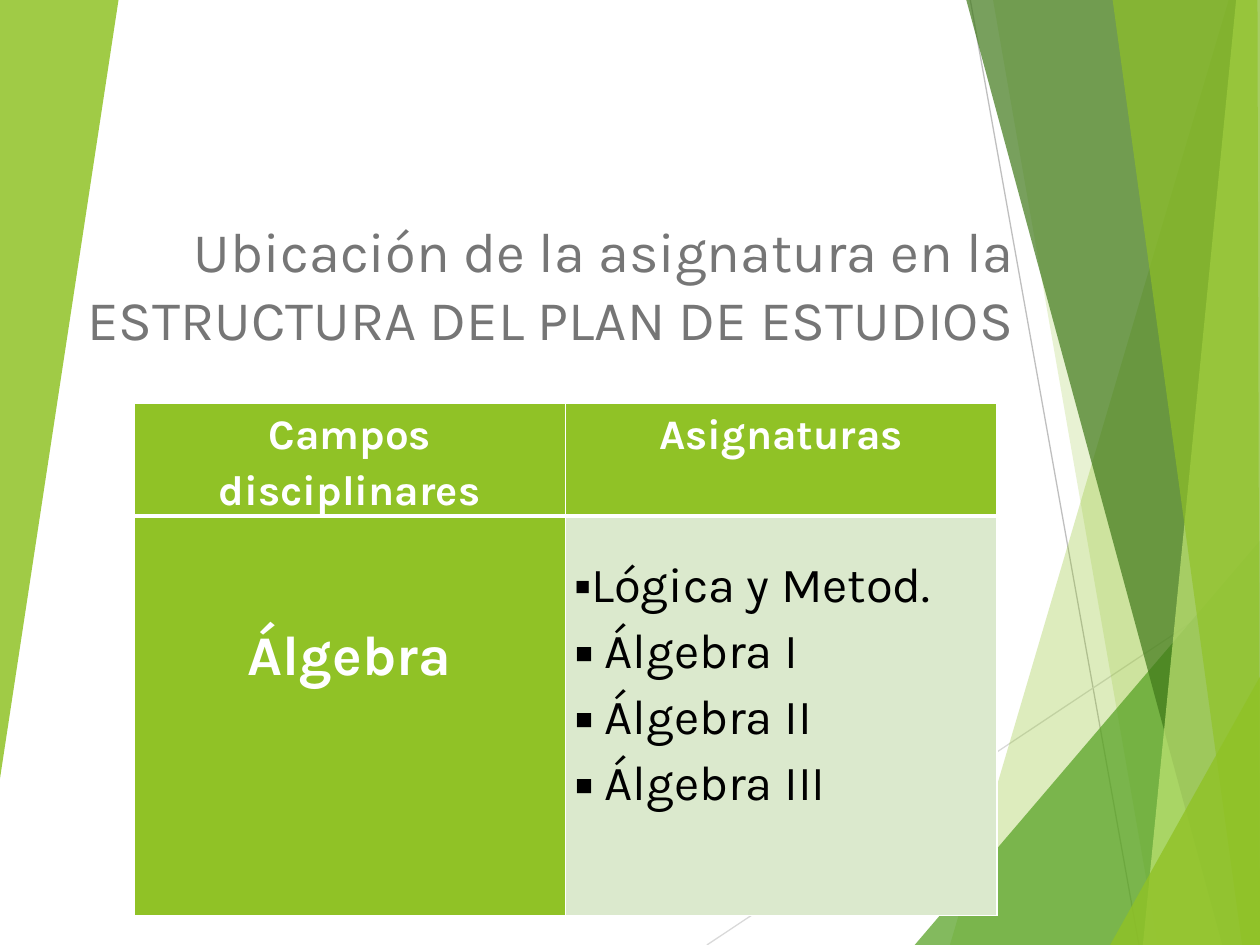
from lxml.etree import SubElement
from pptx import Presentation
from pptx.dml.color import RGBColor
from pptx.enum.shapes import MSO_CONNECTOR
from pptx.enum.text import MSO_ANCHOR, PP_ALIGN
from pptx.oxml.ns import qn
from pptx.util import Cm, Pt

FONT = "Karla"
WHITE = RGBColor(0xFF, 0xFF, 0xFF)
BLACK = RGBColor(0x00, 0x00, 0x00)
GRAY = RGBColor(0x76, 0x76, 0x76)
SILVER = RGBColor(0xBF, 0xBF, 0xBF)
LIGHT_GRAY = RGBColor(0xD9, 0xD9, 0xD9)
LIME = RGBColor(0x90, 0xC2, 0x26)
GREEN = RGBColor(0x54, 0xA0, 0x21)
DARK_GREEN = RGBColor(0x3F, 0x78, 0x19)
PALE_LIME = RGBColor(0xC0, 0xE4, 0x74)
PALE_GREEN = RGBColor(0xDB, 0xE9, 0xCD)

RAYS = [
    (SILVER, (19.56, 0), (22.96, 19.05)),
    (LIGHT_GRAY, (14.25, 19.05), (25.43, 11.61)),
]
FACETS = [
    (LIME, 30, [(24.77, 0), (19.15, 19.05), (25.45, 19.08), (25.43, 0)]),
    (LIME, 20, [(20.02, 0), (23.34, 19.05), (25.43, 19.05), (25.43, 0)]),
    (GREEN, 72, [(18.44, 19.05), (25.4, 10.9), (25.43, 19.05)]),
    (DARK_GREEN, 70, [(19.48, 0), (24.64, 19.05), (25.43, 19.05), (25.43, 0)]),
    (PALE_LIME, 70, [(24.92, 0), (23.04, 19.05), (25.43, 19.05), (25.4, 0)]),
    (LIME, 65, [(22.43, 0), (25.04, 19.05), (25.4, 19.05), (25.35, 0)]),
    (LIME, 80, [(22.38, 19.05), (25.43, 13.59), (25.43, 19.05)]),
    (LIME, 85, [(0, 0), (2.39, 0), (0, 15.7)]),
]
SUBJECTS = [
    ("Lógica y Metod.", 0.31, 86),
    ("Álgebra I", 0.61, 100),
    ("Álgebra II", 0.61, 100),
    ("Álgebra III", 0.61, 100),
]


def add_ray(page, color, start, end):
    """Draw a thin background line."""
    ends = [Cm(value) for value in (*start, *end)]
    ray = page.shapes.add_connector(MSO_CONNECTOR.STRAIGHT, *ends)
    ray.line.color.rgb = color
    ray.line.width = Pt(0.75)
    SubElement(ray.element.spPr, qn("a:effectLst"))


def add_facet(page, color, opacity, corners):
    """Draw a translucent background polygon."""
    points = [(Cm(x), Cm(y)) for x, y in corners]
    builder = page.shapes.build_freeform(*points[0])
    builder.add_line_segments(points[1:], close=True)
    facet = builder.convert_to_shape()
    facet.shadow.inherit = False
    facet.line.fill.background()
    facet.fill.solid()
    facet.fill.fore_color.rgb = color
    tint = facet.element.spPr.find(f"{qn('a:solidFill')}/{qn('a:srgbClr')}")
    SubElement(tint, qn("a:alpha"), val=str(opacity * 1000))


def add_span(para, text, size, color, bold=False):
    """Add one formatted run."""
    span = para.add_run()
    span.text = text
    span.font.name = FONT
    span.font.size = Pt(size)
    span.font.color.rgb = color
    span.font.bold = bold


def place_title(page, text):
    """Set the title in its placeholder, in front of the background."""
    title = page.shapes.title
    title.element.getparent().append(title.element)
    title.left, title.top = Cm(-0.89), Cm(3.12)
    title.width, title.height = Cm(21.59), Cm(4.09)
    title.text_frame.word_wrap = True
    title.text_frame.vertical_anchor = MSO_ANCHOR.BOTTOM
    para = title.text_frame.paragraphs[0]
    para.alignment = PP_ALIGN.RIGHT
    add_span(para, text, 32, GRAY)


def format_cell(cell, fill, top, bottom_width):
    """Set the margins, white borders and fill of a cell."""
    cell.margin_left = cell.margin_right = Cm(0.18)
    cell.margin_top, cell.margin_bottom = Cm(top), Cm(0)
    properties = cell._tc.get_or_add_tcPr()
    for side in ("L", "R", "T", "B"):
        width = bottom_width if side == "B" else 1
        border = SubElement(properties, qn(f"a:ln{side}"), w=str(Pt(width)))
        paint = SubElement(border, qn("a:solidFill"))
        SubElement(paint, qn("a:srgbClr"), val=str(WHITE))
    cell.fill.solid()
    cell.fill.fore_color.rgb = fill


def write_heading(cell, text, size):
    """Write centred bold white text in a cell."""
    para = cell.text_frame.paragraphs[0]
    para.alignment = PP_ALIGN.CENTER
    para.line_spacing = 1.15
    add_span(para, text, size, WHITE, True)


def write_subjects(cell):
    """Write the bulleted list of subjects in a cell."""
    frame = cell.text_frame
    for index, (text, indent, percent) in enumerate(SUBJECTS):
        para = frame.add_paragraph() if index else frame.paragraphs[0]
        para.line_spacing = 1.15
        add_span(para, text, 28, BLACK)
        properties = para._p.get_or_add_pPr()
        properties.set("marL", str(Cm(indent)))
        properties.set("indent", str(-Cm(indent)))
        SubElement(properties, qn("a:buSzPct"), val=str(percent * 1000))
        SubElement(properties, qn("a:buFont"), typeface=FONT)
        SubElement(properties, qn("a:buChar"), char="▪")


def add_plan_table(page):
    """Add the table of fields and subjects."""
    frame = page.shapes.add_table(2, 2, Cm(2.7), Cm(8.13), Cm(17.4), Cm(10.25))
    table = frame.table
    table.horz_banding = False
    table.rows[0].height, table.rows[1].height = Cm(2.2), Cm(8.05)
    for column, text in enumerate(("Campos disciplinares", "Asignaturas")):
        cell = table.cell(0, column)
        format_cell(cell, LIME, 0, 3)
        write_heading(cell, text, 24)
    field, subjects = table.cell(1, 0), table.cell(1, 1)
    format_cell(field, LIME, 1.99, 1)
    write_heading(field, "Álgebra", 32)
    format_cell(subjects, PALE_GREEN, 0.66, 1)
    write_subjects(subjects)


def main():
    """Build the slide and save the deck."""
    deck = Presentation()
    deck.slide_width, deck.slide_height = Cm(25.4), Cm(19.05)
    page = deck.slides.add_slide(deck.slide_layouts[5])
    for ray in RAYS:
        add_ray(page, *ray)
    for facet in FACETS:
        add_facet(page, *facet)
    place_title(page, "Ubicación de la asignatura en la ESTRUCTURA DEL PLAN DE ESTUDIOS")
    add_plan_table(page)
    deck.save("out.pptx")


if __name__ == "__main__":
    main()
